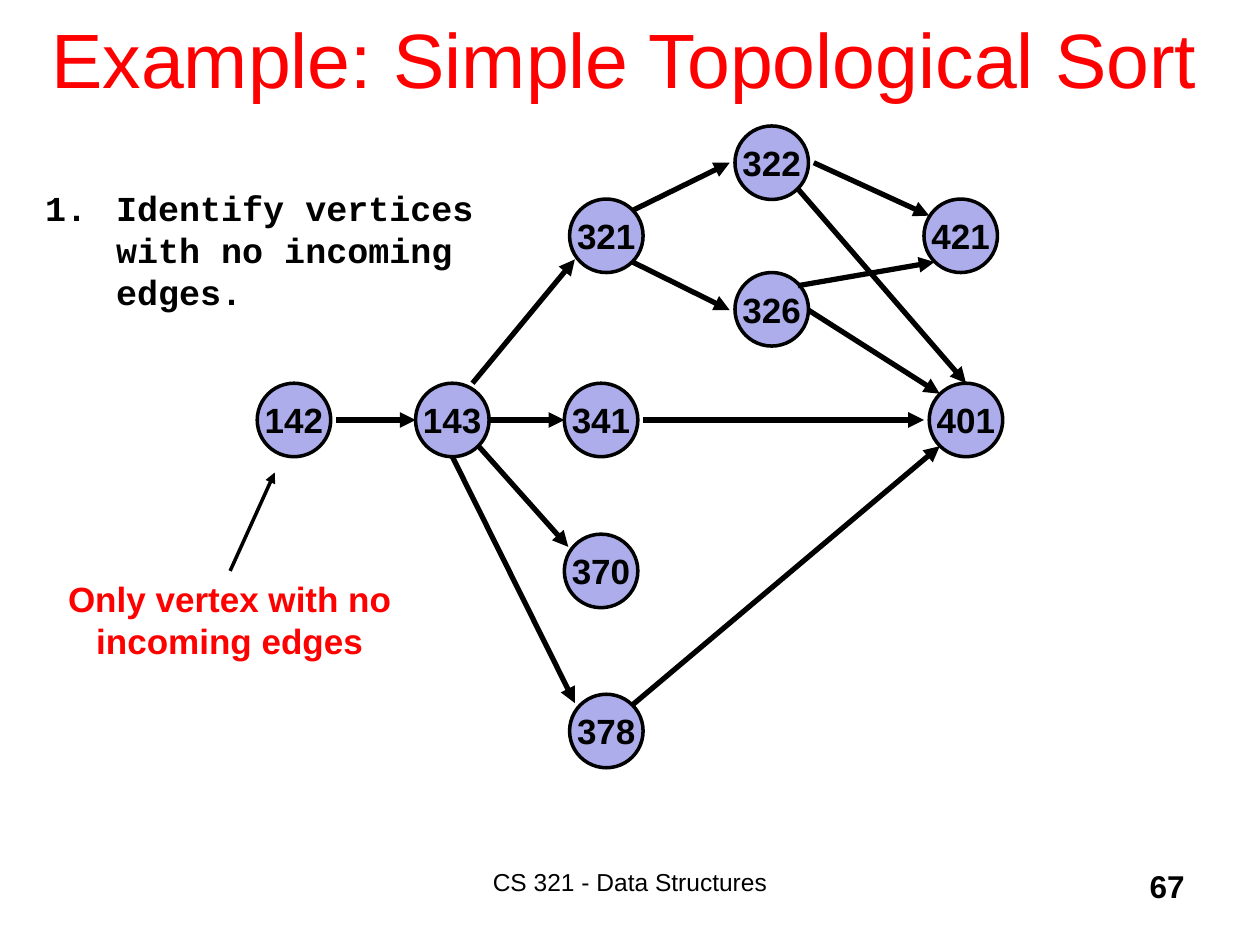
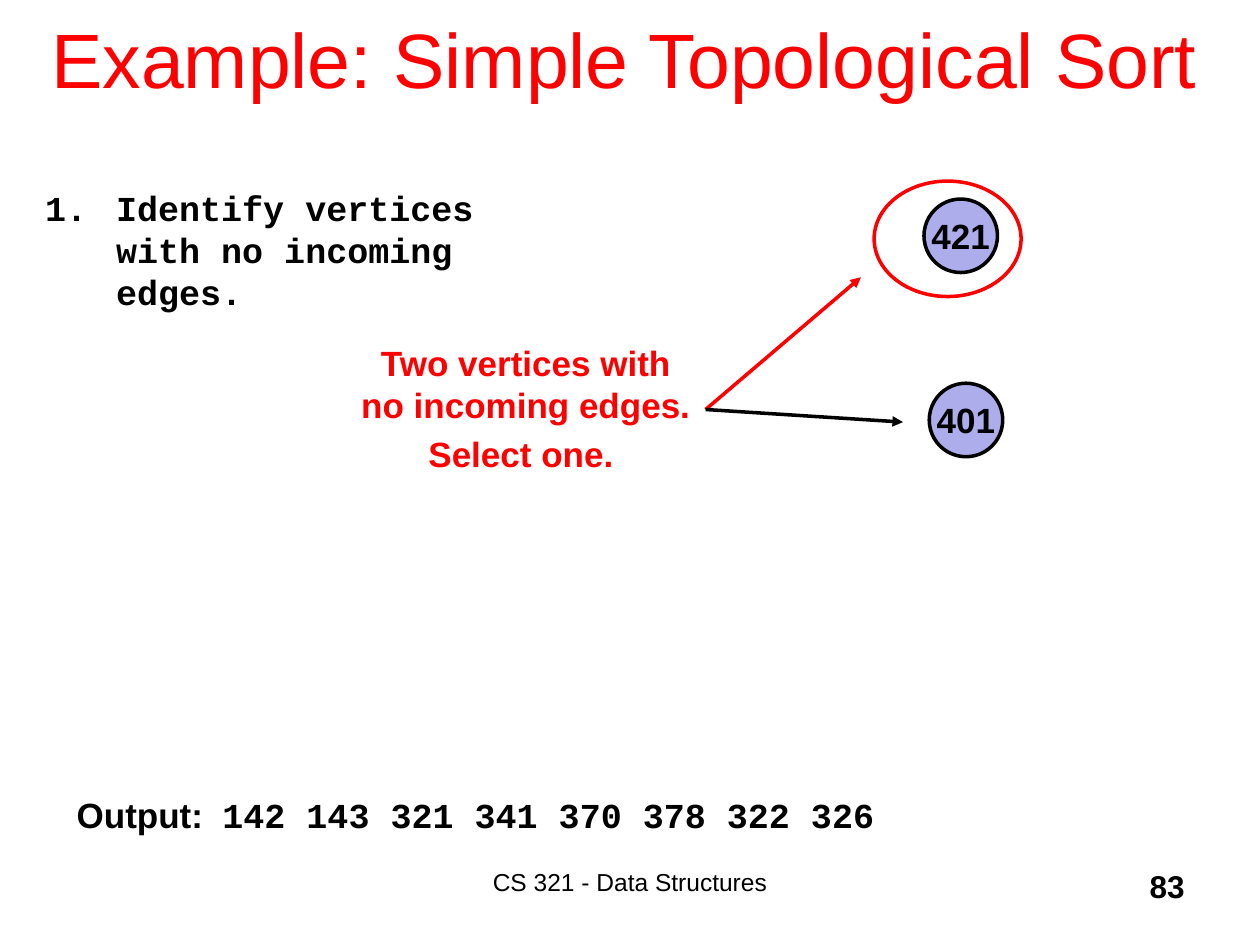
from lxml import etree
from pptx import Presentation
from pptx.dml.color import RGBColor
from pptx.enum.shapes import MSO_CONNECTOR, MSO_SHAPE
from pptx.enum.text import MSO_ANCHOR, PP_ALIGN
from pptx.oxml.ns import qn
from pptx.util import Pt

LEFT, MID, RIGHT = PP_ALIGN.LEFT, PP_ALIGN.CENTER, PP_ALIGN.RIGHT
TOP, CENTER = MSO_ANCHOR.TOP, MSO_ANCHOR.MIDDLE
OVAL, LINE = MSO_SHAPE.OVAL, MSO_CONNECTOR.STRAIGHT
RED, BLACK, LILAC = "FF0000", "000000", "ADADEB"
SANS, MONO = "Arial", "Courier New"
SIZE = 42  # node diameter

# Content
TITLE = "Example: Simple Topological Sort"
FOOTER = "CS 321 - Data Structures"
STEP = "Identify vertices with no incoming edges."

# Course number: centre of its node
NODES = {
    "322": (441, 93), "143": (258.5, 240), "321": (346.5, 134.75),
    "326": (441, 176.75), "142": (168, 240), "341": (343.5, 240),
    "370": (343.5, 326.25), "401": (552, 240), "378": (346.5, 417.75),
    "421": (549, 134.75),
}
# From, to, then each end as an offset from its node's centre
EDGES = [
    ("142", "143", (24, 0), (-21, 0)),
    ("143", "341", (21, 0), (-21, 0)),
    ("143", "370", (15, 15), (-18.75, -13.75)),
    ("143", "378", (0, 21), (-18, -16)),
    ("143", "321", (11.5, -21), (-18, 13.5)),
    ("321", "322", (15, -14.5), (-24, 0)),
    ("321", "326", (15, 15), (-24, 0.5)),
    ("322", "401", (15, 15), (0, -21)),
    ("326", "401", (21, 0.5), (-15, -15)),
    ("378", "401", (15, -15), (-15, 15)),
    ("341", "401", (24, 0), (-24, 0)),
    ("322", "421", (24, 0), (-18, -11.5)),
    ("326", "421", (15, -13.5), (-15, 15)),
]
PAGES = [
    {
        "page": "67", "nodes": list(NODES), "edges": EDGES, "rings": [],
        "notes": [(["Only vertex with no incoming edges"],
                   (28.8, 326.25, 205, 55.5))],
        "hints": [((131.5, 326.25), (157, 270), BLACK)],
        "output": "",
    },
    {
        "page": "83", "nodes": ["401", "421"], "edges": [],
        "rings": [(499.5, 103.5, 84, 66)],
        "notes": [(["Two vertices with no incoming edges.", "Select one. "],
                   (198, 191.5, 205, 85))],
        "hints": [((403.2, 234), (492, 158.4), RED),
                  ((403.2, 234), (516, 241.2), BLACK)],
        "output": "142 143 321 341 370 378 322 326",
    },
]

# Text styles
HEAD = {"size": Pt(44), "name": SANS}
FOOT = {"size": Pt(14), "name": SANS}
PAGE = {"size": Pt(18), "name": SANS, "bold": True}
BODY = {"size": Pt(20), "name": SANS, "bold": True}
CODE = {**BODY, "name": MONO}


def rgb(code):
    return RGBColor.from_string(code)


def fill_text(frame, lines, font, color=BLACK, align=LEFT, gap=0):
    for num, line in enumerate(lines):
        para = frame.add_paragraph() if num else frame.paragraphs[0]
        para.alignment = align
        if num:
            para.space_before = Pt(gap)
        run = para.add_run()
        run.text = line
        for key, value in font.items():
            setattr(run.font, key, value)
        run.font.color.rgb = rgb(color)


def add_text(slide, lines, box, font, color=BLACK, align=LEFT, anchor=TOP):
    frame = slide.shapes.add_textbox(*map(Pt, box)).text_frame
    frame.word_wrap = True
    frame.vertical_anchor = anchor
    fill_text(frame, lines, font, color, align, gap=4)
    return frame


def add_oval(slide, box, color, fill=None):
    oval = slide.shapes.add_shape(OVAL, *map(Pt, box))
    oval.shadow.inherit = False
    oval.line.color.rgb = rgb(color)
    oval.line.width = Pt(2)
    if fill:
        oval.fill.solid()
        oval.fill.fore_color.rgb = rgb(fill)
    else:
        oval.fill.background()
    return oval


def add_node(slide, name):
    x, y = NODES[name]
    box = (x - SIZE / 2, y - SIZE / 2, SIZE, SIZE)
    frame = add_oval(slide, box, BLACK, LILAC).text_frame
    for side in ("left", "top", "right", "bottom"):
        setattr(frame, "margin_" + side, 0)
    frame.word_wrap = False
    frame.vertical_anchor = CENTER
    fill_text(frame, [name], BODY, align=MID)


def add_arrow(slide, start, end, color=BLACK, width=3):
    line = slide.shapes.add_connector(LINE, *map(Pt, (*start, *end)))
    line.line.color.rgb = rgb(color)
    line.line.width = Pt(width)
    etree.SubElement(line.line._get_or_add_ln(), qn("a:tailEnd"),
                     type="triangle")
    etree.SubElement(line._element.spPr, qn("a:effectLst"))


def add_edge(slide, tail, head, out, into):
    ends = [tuple(c + d for c, d in zip(NODES[name], shift))
            for name, shift in ((tail, out), (head, into))]
    add_arrow(slide, *ends)


def add_step(slide):
    frame = add_text(slide, [STEP], (18.75, 103, 262, 80), CODE)
    props = frame.paragraphs[0]._p.get_or_add_pPr()
    props.set("marL", str(Pt(40.5)))
    props.set("indent", str(Pt(-40.5)))
    etree.SubElement(props, qn("a:buFont"), typeface=MONO)
    etree.SubElement(props, qn("a:buAutoNum"), type="arabicPeriod")


def add_frame(slide, page):
    add_text(slide, [TITLE], (18, -12, 678, 90), HEAD, RED, MID, CENTER)
    add_text(slide, [FOOTER], (222, 492, 276, 36), FOOT, align=MID)
    add_text(slide, [page], (534, 492, 150, 36), PAGE, align=RIGHT)


def build():
    deck = Presentation()
    deck.slide_width, deck.slide_height = Pt(720), Pt(540)
    for page in PAGES:
        slide = deck.slides.add_slide(deck.slide_layouts[6])
        add_frame(slide, page["page"])
        # Graph
        for name in page["nodes"]:
            add_node(slide, name)
        for edge in page["edges"]:
            add_edge(slide, *edge)
        # Remarks and what they point at
        for lines, box in page["notes"]:
            add_text(slide, lines, box, BODY, RED, MID)
        for box in page["rings"]:
            add_oval(slide, box, RED)
        for start, end, color in page["hints"]:
            add_arrow(slide, start, end, color, 2)
        # Step and result
        add_step(slide)
        if page["output"]:
            add_text(slide, ["Output:"], (36.75, 450, 124, 31.5), BODY)
            add_text(slide, [page["output"]], (120, 450, 574, 31.5), CODE)
    deck.save("out.pptx")


if __name__ == "__main__":
    build()
